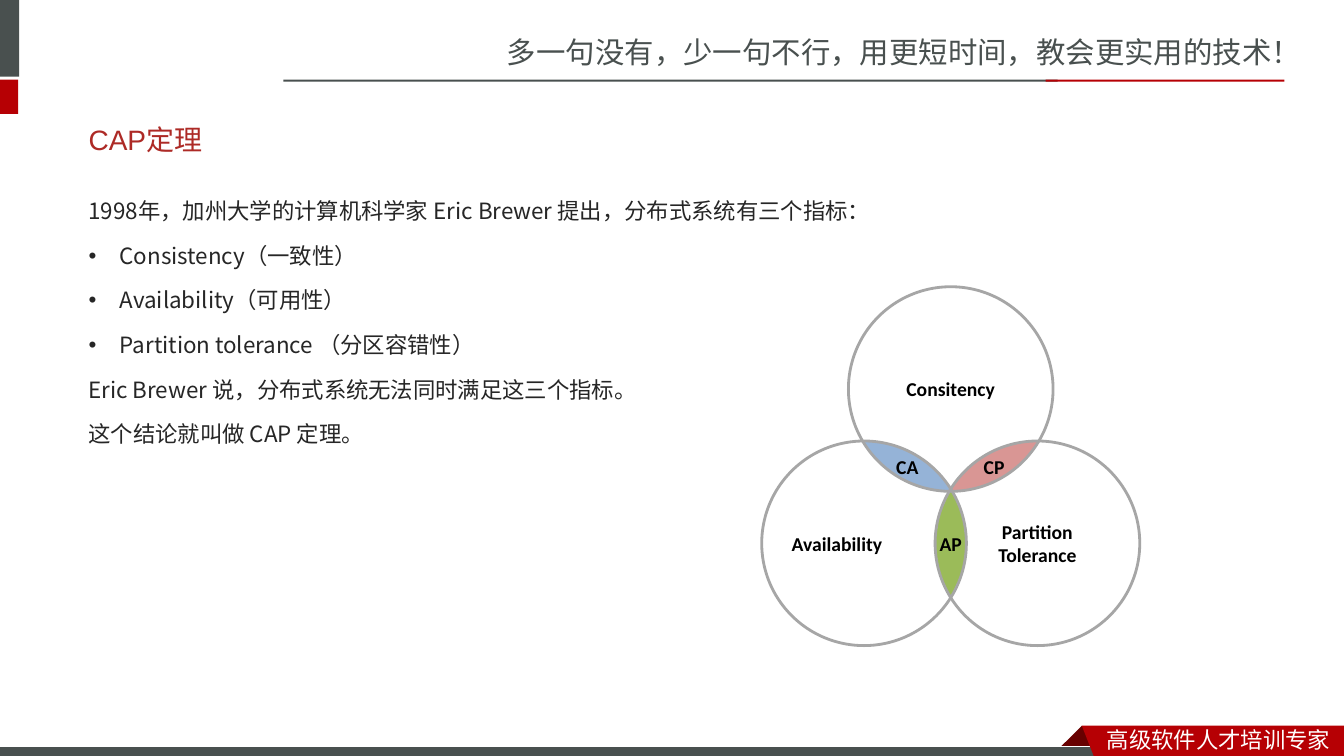
from math import acos, atan2, cos, dist, pi, sin

from lxml.etree import SubElement
from pptx import Presentation
from pptx.dml.color import RGBColor
from pptx.enum.shapes import MSO_SHAPE as Shape
from pptx.enum.text import MSO_ANCHOR as Anchor, PP_ALIGN as Align
from pptx.oxml.ns import qn
from pptx.util import Inches, Pt

GREY, RED, DARK_RED, WHITE = "49504F", "B60004", "680000", "FFFFFF"
RADIUS = 1.015


def color(hex_code):
    return RGBColor.from_string(hex_code)


def write(box, text, size=16, font="Noto Sans CJK SC", ink="000000", bold=False,
          align=Align.LEFT, anchor=Anchor.TOP, wrap=True, side=0.1,
          spacing=None, before=0, bullets=()):
    """Fill box with one paragraph per line; bullets holds the indexes of bulleted lines."""
    frame = box.text_frame
    frame.word_wrap, frame.vertical_anchor = wrap, anchor
    frame.margin_left = frame.margin_right = Inches(side)
    for index, line in enumerate(text.split("\n")):
        para = frame.paragraphs[0] if index == 0 else frame.add_paragraph()
        para.alignment, para.space_before = align, Pt(before)
        if spacing:
            para.line_spacing = Pt(spacing)
        if index in bullets:
            properties = para._p.get_or_add_pPr()
            properties.set("marL", str(Inches(0.31)))
            properties.set("indent", str(Inches(-0.31)))
            SubElement(properties, qn("a:buFont")).set("typeface", "Arial")
            SubElement(properties, qn("a:buChar")).set("char", "•")
        span = para.add_run()
        span.text = line
        span.font.size, span.font.name, span.font.bold = Pt(size), font, bold
        span.font.color.rgb = color(ink)
        east_asian = font if "CJK" in font else "Noto Sans CJK SC"
        SubElement(span._r.get_or_add_rPr(), qn("a:ea")).set("typeface", east_asian)


class Painter:
    """Draws styled elements on one slide."""

    def __init__(self, page):
        self.shapes = page.shapes

    def style(self, shape, fill=None, line=None, width=0.75):
        shape.shadow.inherit = False
        if fill:
            shape.fill.solid()
            shape.fill.fore_color.rgb = color(fill)
        else:
            shape.fill.background()
        if line:
            shape.line.color.rgb = color(line)
            shape.line.width = Pt(width)
        else:
            shape.line.fill.background()
        return shape

    def shape(self, kind, place, **look):
        return self.style(self.shapes.add_shape(kind, *map(Inches, place)), **look)

    def outline(self, points, fill):
        start, *rest = [(Inches(x), Inches(y)) for x, y in points]
        builder = self.shapes.build_freeform(*start)
        builder.add_line_segments(rest, close=True)
        return self.style(builder.convert_to_shape(), fill)

    def text(self, place, text, **form):
        write(self.shapes.add_textbox(*map(Inches, place)), text, **form)

    def lens(self, first, second, fill):
        """Draw the overlap of two circles given by their centres."""
        heading = atan2(second[1] - first[1], second[0] - first[0])
        opening = acos(dist(first, second) / 2 / RADIUS)
        steps = 4
        points = []
        for (x, y), middle in ((first, heading), (second, heading + pi)):
            for step in range(steps):
                angle = middle + opening * (2 * step / steps - 1)
                points.append((x + RADIUS * cos(angle), y + RADIUS * sin(angle)))
        return self.outline(points, fill)


def draw_frame(painter):
    painter.text((4.93, 0.29, 8.41, 0.47), "多一句没有，少一句不行，用更短时间，教会更实用的技术！",
                 size=21, ink=GREY, wrap=False)
    for place, fill in (((-0.06, 0, 0.25, 0.76), GREY), ((-0.06, 0.79, 0.24, 0.34), RED),
                        ((2.81, 0.79, 7.68, 0.02), GREY), ((10.37, 0.79, 2.37, 0.02), RED)):
        painter.shape(Shape.RECTANGLE, place, fill=fill)
    painter.outline([(10.73, 7.2), (10.95, 7.42), (10.94, 7.43), (10.52, 7.43), (10.51, 7.42)],
                    DARK_RED)
    painter.shape(Shape.RECTANGLE, (-0.01, 7.41, 11, 0.12), fill=GREY, line=WHITE)
    painter.outline([(10.73, 7.2), (13.33, 7.2), (13.33, 7.54), (10.86, 7.53)], RED)
    painter.text((10.88, 7.15, 2.45, 0.37), "高级软件人才培训专家", ink=WHITE, wrap=False)


def draw_explanation(painter):
    painter.text((0.78, 1.1, 11.7, 0.57), "CAP定理", size=20, font="Arial", ink="AD2A26",
                 anchor=Anchor.MIDDLE)
    lines = ("1998年，加州大学的计算机科学家 Eric Brewer 提出，分布式系统有三个指标：",
             "Consistency（一致性）", "Availability（可用性）",
             "Partition tolerance （分区容错性）",
             "Eric Brewer 说，分布式系统无法同时满足这三个指标。", "这个结论就叫做 CAP 定理。")
    painter.text((0.78, 1.78, 11.7, 1.97), "\n".join(lines), font="Noto Sans CJK JP",
                 ink="262626", spacing=28.6, before=3.2, bullets=(1, 2, 3))


def draw_venn(painter):
    label = dict(size=14, font="Calibri", bold=True, anchor=Anchor.MIDDLE)
    consistency, availability, partition = (9.43, 3.86), (8.57, 5.39), (10.29, 5.39)
    for first, second, fill, text, side in (
            (consistency, availability, "95B3D7", "CA", 0.1),
            (availability, partition, "9BBB59", "AP", 0),
            (consistency, partition, "D99694", "CP", 0.1)):
        write(painter.lens(first, second, fill), text, align=Align.CENTER, side=side, **label)
    for (x, y), text, align, side in (
            (consistency, "Consitency", Align.CENTER, 0.1),
            (availability, "Availability", Align.LEFT, 0),
            (partition, "Partition\nTolerance", Align.CENTER, 0.1)):
        place = (x - RADIUS, y - RADIUS, 2 * RADIUS, 2 * RADIUS)
        circle = painter.shape(Shape.OVAL, place, line="A6A6A6", width=2)
        write(circle, text, align=align, side=side, **label)


def main():
    deck = Presentation()
    deck.slide_width, deck.slide_height = Inches(13.33), Inches(7.5)
    painter = Painter(deck.slides.add_slide(deck.slide_layouts[6]))
    draw_frame(painter)
    draw_explanation(painter)
    draw_venn(painter)
    deck.save("out.pptx")


if __name__ == "__main__":
    main()
